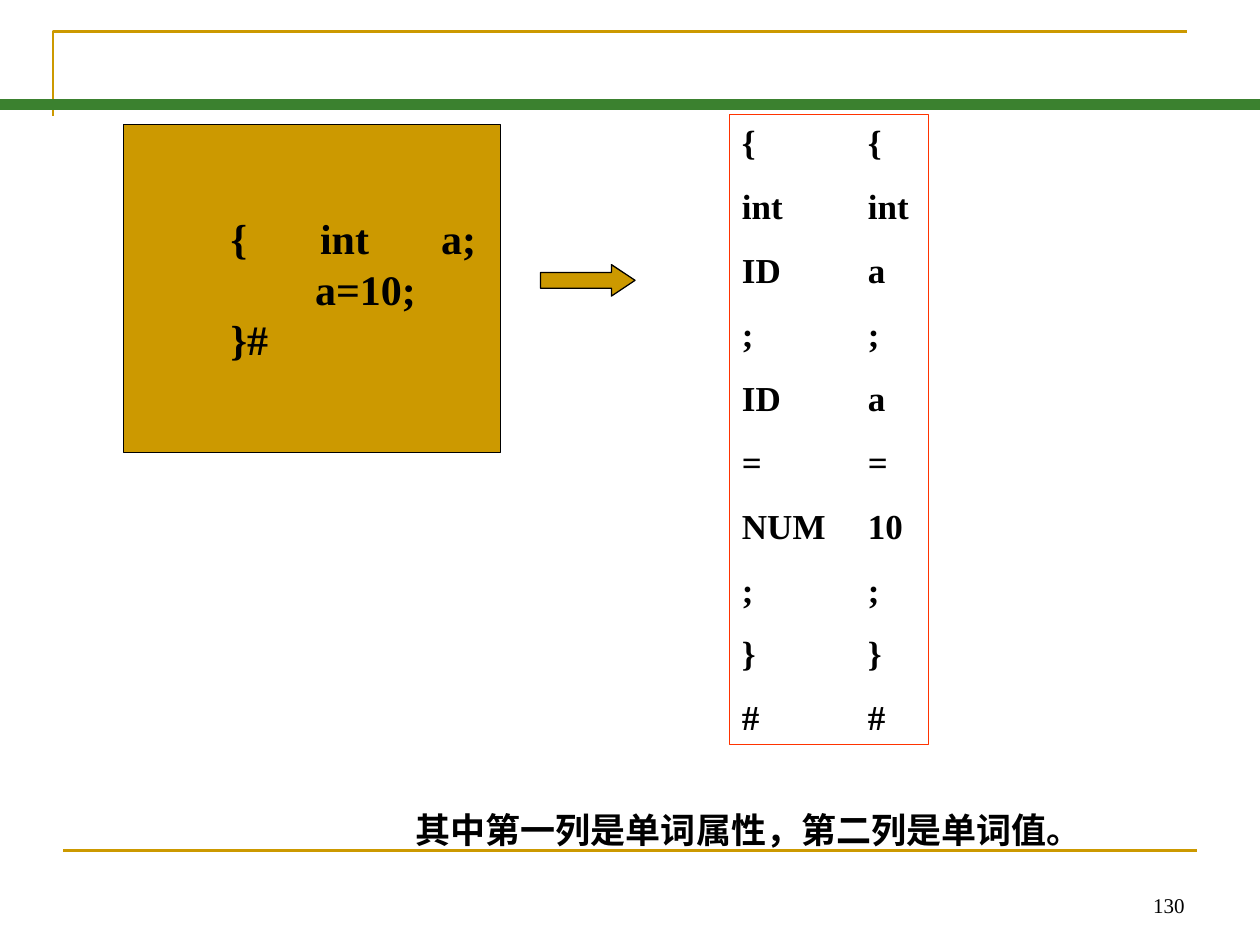
from dataclasses import dataclass

from lxml.etree import SubElement
from pptx import Presentation
from pptx.dml.color import RGBColor
from pptx.enum.shapes import MSO_CONNECTOR, MSO_SHAPE
from pptx.enum.text import MSO_ANCHOR, PP_ALIGN
from pptx.oxml.ns import qn
from pptx.util import Inches, Pt

GOLD = RGBColor(0xCC, 0x99, 0x00)
GREEN = RGBColor(0x3B, 0x81, 0x2F)
RED = RGBColor(0xFF, 0x33, 0x00)
BLACK = RGBColor(0x00, 0x00, 0x00)
FONT = "Times New Roman"


@dataclass
class Rule:
    left: float
    right: float
    y: float
    color: RGBColor
    width: float


@dataclass
class Token:
    kind: str
    value: str


@dataclass
class CodeLine:
    text: str
    indent: float = 0


RULES = [Rule(0.5, 9.5, 6.75, GOLD, 1.5), Rule(0, 10, 0.83, GREEN, 6)]
TOKENS = [
    Token("{", "{"), Token("int", "int"), Token("ID", "a"), Token(";", ";"),
    Token("ID", "a"), Token("=", "="), Token("NUM", "10"), Token(";", ";"),
    Token("}", "}"), Token("#", "#"),
]
CODE = [CodeLine("{\tint\ta;"), CodeLine("a=10;", 0.67), CodeLine("}#")]


def add_rule(slide, rule: Rule) -> None:
    line = slide.shapes.add_connector(
        MSO_CONNECTOR.STRAIGHT, Inches(rule.left), Inches(rule.y),
        Inches(rule.right), Inches(rule.y))
    line.line.color.rgb = rule.color
    line.line.width = Pt(rule.width)
    SubElement(line._element.spPr, qn("a:effectLst"))


def add_corner(slide) -> None:
    builder = slide.shapes.build_freeform(Inches(0.42), Inches(0.92))
    builder.add_line_segments(
        [(Inches(0.42), Inches(0.25)), (Inches(9.42), Inches(0.25))], close=False)
    sp = builder.convert_to_shape()
    sp.shadow.inherit = False
    sp.fill.background()
    sp.line.color.rgb = GOLD
    sp.line.width = Pt(1.5)


def add_box(slide, kind, box: tuple, line: RGBColor, fill: RGBColor | None = None):
    sp = slide.shapes.add_shape(kind, *map(Inches, box))
    sp.shadow.inherit = False
    if fill is None:
        sp.fill.background()
    else:
        sp.fill.solid()
        sp.fill.fore_color.rgb = fill
    sp.line.color.rgb = line
    sp.line.width = Pt(0.75)
    return sp


def write(sp, lines: list[str], size: float, bold: bool = True,
          align=PP_ALIGN.LEFT, anchor=MSO_ANCHOR.TOP, tabs: tuple = ()) -> list:
    tf = sp.text_frame
    tf.word_wrap = True
    tf.vertical_anchor = anchor
    tf.text = "\n".join(lines)
    for p in tf.paragraphs:
        p.alignment = align
        if tabs:
            tab_list = SubElement(p._p.get_or_add_pPr(), qn("a:tabLst"))
            for pos in tabs:
                SubElement(tab_list, qn("a:tab"), pos=str(Inches(pos)), algn="l")
        for r in p.runs:
            r.font.name = FONT
            r.font.size = Pt(size)
            r.font.bold = bold
            r.font.color.rgb = BLACK
    return list(tf.paragraphs)


def add_tokens(slide) -> None:
    sp = add_box(slide, MSO_SHAPE.RECTANGLE, (5.79, 0.91, 1.58, 5), RED)
    rows = [f"{token.kind}\t{token.value}" for token in TOKENS]
    for i, p in enumerate(write(sp, rows, 20, tabs=(1,))):
        p.line_spacing = Pt(24)
        p.space_before = Pt(12.5 if i else 0)


def add_code(slide) -> None:
    sp = add_box(slide, MSO_SHAPE.RECTANGLE, (0.98, 0.99, 2.99, 2.6), BLACK, GOLD)
    sp.text_frame.margin_left = Inches(0.85)
    paragraphs = write(sp, [line.text for line in CODE], 24,
                       anchor=MSO_ANCHOR.MIDDLE, tabs=(0.71, 1.67))
    for p, line in zip(paragraphs, CODE):
        p.line_spacing = Pt(28.8)
        p._p.get_or_add_pPr().set("marL", str(Inches(line.indent)))


def add_text(slide, text: str, box: tuple, size: float, bold: bool, align) -> None:
    sp = slide.shapes.add_textbox(*map(Inches, box))
    write(sp, [text], size, bold, align, MSO_ANCHOR.BOTTOM)


def main() -> None:
    prs = Presentation()
    prs.slide_width, prs.slide_height = Inches(10), Inches(7.5)
    slide = prs.slides.add_slide(prs.slide_layouts[6])
    add_corner(slide)
    for rule in RULES:
        add_rule(slide, rule)
    add_text(slide, "其中第一列是单词属性，第二列是单词值。",
             (3.2, 5.86, 7.42, 0.94), 20, True, PP_ALIGN.LEFT)
    add_tokens(slide)
    arrow = add_box(slide, MSO_SHAPE.RIGHT_ARROW, (4.29, 2.1, 0.75, 0.25), BLACK, GOLD)
    arrow.adjustments[0] = 0.5
    arrow.adjustments[1] = 0.75
    add_code(slide)
    add_text(slide, "130", (7.17, 6.83, 2.33, 0.5), 12, False, PP_ALIGN.RIGHT)
    prs.save("out.pptx")


if __name__ == "__main__":
    main()
